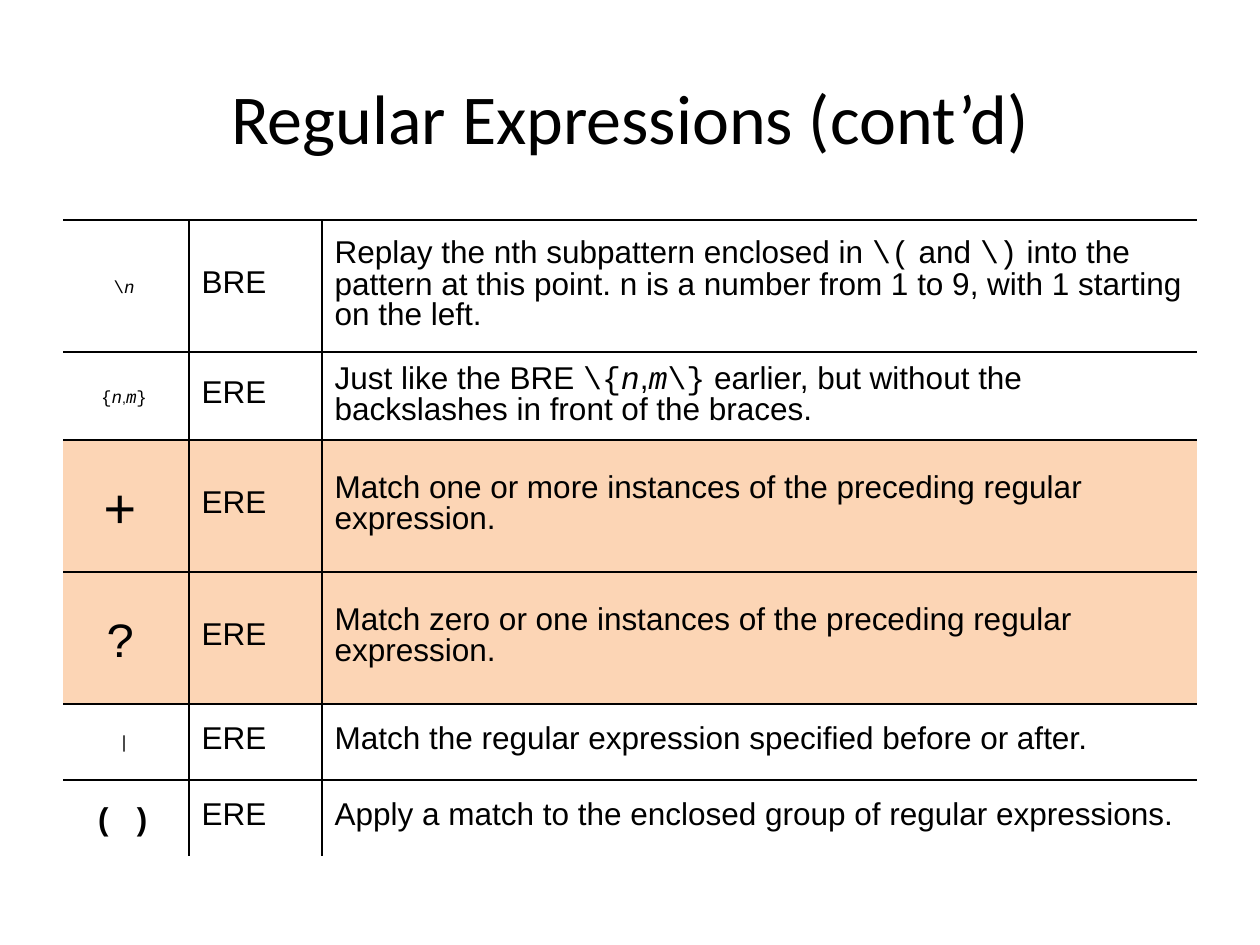
from lxml.etree import SubElement
from pptx import Presentation
from pptx.dml.color import RGBColor
from pptx.enum.text import MSO_ANCHOR, PP_ALIGN
from pptx.oxml.ns import qn
from pptx.util import Emu, Pt

EMU_PER_PX = 914400 / 126
BLACK = RGBColor(0x00, 0x00, 0x00)
WHITE = RGBColor(0xFF, 0xFF, 0xFF)
PEACH = RGBColor(0xFC, 0xD5, 0xB5)
NO_STYLE = "{2D5ABB26-0587-4C30-8999-92F81FD0307C}"

# Run styles: font, italic, bold
PLAIN = ("Arial", False, False)
CODE = ("Courier New", False, False)
CODE_ITALIC = ("Courier New", True, False)
CODE_BOLD = ("Courier New", False, True)

TITLE = "Regular Expressions (cont’d)"
COLUMN_WIDTHS = [126, 133, 875]
BODY_SIZE = 18

# Row height, fill, operator runs (text, style, size), flavour, meaning runs (text, style)
ROWS = [
    (132, WHITE,
     [("\\", CODE, 10), ("n", CODE_ITALIC, 10), (" ", PLAIN, 8)],
     "BRE",
     [("Replay the nth subpattern enclosed in ", PLAIN), ("\\(", CODE),
      (" and ", PLAIN), ("\\)", CODE),
      (" into the pattern at this point. n is a number from 1 to 9, "
       "with 1 starting on the left.", PLAIN)]),
    (88, WHITE,
     [("{", CODE, 10), ("n", CODE_ITALIC, 10), (",", PLAIN, 8),
      ("m", CODE_ITALIC, 10), ("}", CODE, 10), (" ", PLAIN, 8)],
     "ERE",
     [("Just like the BRE ", PLAIN), ("\\{", CODE), ("n", CODE_ITALIC),
      (",", PLAIN), ("m", CODE_ITALIC), ("\\}", CODE),
      (" earlier, but without the backslashes in front of the braces.", PLAIN)]),
    (132, PEACH, [("+", CODE, 32), (" ", PLAIN, 24)], "ERE",
     [("Match one or more instances of the preceding regular expression.", PLAIN)]),
    (132, PEACH, [("?", CODE, 28), (" ", PLAIN, 20)], "ERE",
     [("Match zero or one instances of the preceding regular expression.", PLAIN)]),
    (76, WHITE, [("|", CODE, 10), (" ", PLAIN, 8)], "ERE",
     [("Match the regular expression specified before or after.", PLAIN)]),
    (76, WHITE, [("( )", CODE_BOLD, 18), (" ", CODE_BOLD[:0] + ("Arial", False, True), 14)],
     "ERE",
     [("Apply a match to the enclosed group of regular expressions.", PLAIN)]),
]


def px(length):
    return Emu(round(length * EMU_PER_PX))


def write_runs(paragraph, runs):
    for text, (font_name, italic, bold), size in runs:
        run = paragraph.add_run()
        run.text = text
        font = run.font
        font.name, font.size = font_name, Pt(size)
        font.italic, font.bold = italic, bold
        font.color.rgb = BLACK


def set_borders(cell, sides):
    """Draw a 1 pt line on the given sides; borders precede the fill."""
    properties = cell._tc.get_or_add_tcPr()
    for position, side in enumerate("LRTB"):
        line = SubElement(properties, qn(f"a:ln{side}"), w=str(Pt(1)))
        if side in sides:
            solid = SubElement(line, qn("a:solidFill"))
            SubElement(solid, qn("a:srgbClr"), val=str(BLACK))
        else:
            SubElement(line, qn("a:noFill"))
        properties.insert(position, line)


def format_cell(cell, runs, fill, is_operator):
    cell.vertical_anchor = MSO_ANCHOR.MIDDLE
    cell.margin_left = cell.margin_right = Pt(7.2)
    cell.margin_top = Pt(3.6 if is_operator else 2.16)
    cell.margin_bottom = Pt(3.6)
    cell.fill.solid()
    cell.fill.fore_color.rgb = fill
    paragraph = cell.text_frame.paragraphs[0]
    paragraph.alignment = PP_ALIGN.CENTER if is_operator else PP_ALIGN.LEFT
    paragraph.line_spacing = 1.25 if is_operator else 0.87
    write_runs(paragraph, runs)


presentation = Presentation()
presentation.slide_width, presentation.slide_height = px(1260), px(945)
slide = presentation.slides.add_slide(presentation.slide_layouts[5])

# Title
title = slide.shapes.title
title.left, title.top, title.width, title.height = px(63), px(38), px(1134), px(157)
title.text_frame.text = TITLE
title.text_frame.vertical_anchor = MSO_ANCHOR.MIDDLE
heading = title.text_frame.paragraphs[0]
heading.alignment = PP_ALIGN.CENTER
heading.font.name, heading.font.size = "Calibri", Pt(40)
heading.font.color.rgb = BLACK

# Table of operators
row_heights = [row[0] for row in ROWS]
table = slide.shapes.add_table(
    len(ROWS), len(COLUMN_WIDTHS), px(63), px(220),
    px(sum(COLUMN_WIDTHS)), px(sum(row_heights))).table
table.first_row = table.horz_banding = False
table._tbl.tblPr.find(qn("a:tableStyleId")).text = NO_STYLE
for column, width in zip(table.columns, COLUMN_WIDTHS):
    column.width = px(width)

last_row, last_column = len(ROWS) - 1, len(COLUMN_WIDTHS) - 1
for r, (height, fill, operator, flavour, meaning) in enumerate(ROWS):
    table.rows[r].height = px(height)
    body_runs = [(text, style, BODY_SIZE) for text, style in meaning]
    for c, runs in enumerate([operator, [(flavour, PLAIN, BODY_SIZE)], body_runs]):
        cell = table.cell(r, c)
        format_cell(cell, runs, fill, is_operator=c == 0)
        # Left, right and bottom edges of the table stay open
        sides = ("T" + ("L" if c > 0 else "") + ("R" if c < last_column else "")
                 + ("B" if r < last_row else ""))
        set_borders(cell, sides)

presentation.save("out.pptx")
